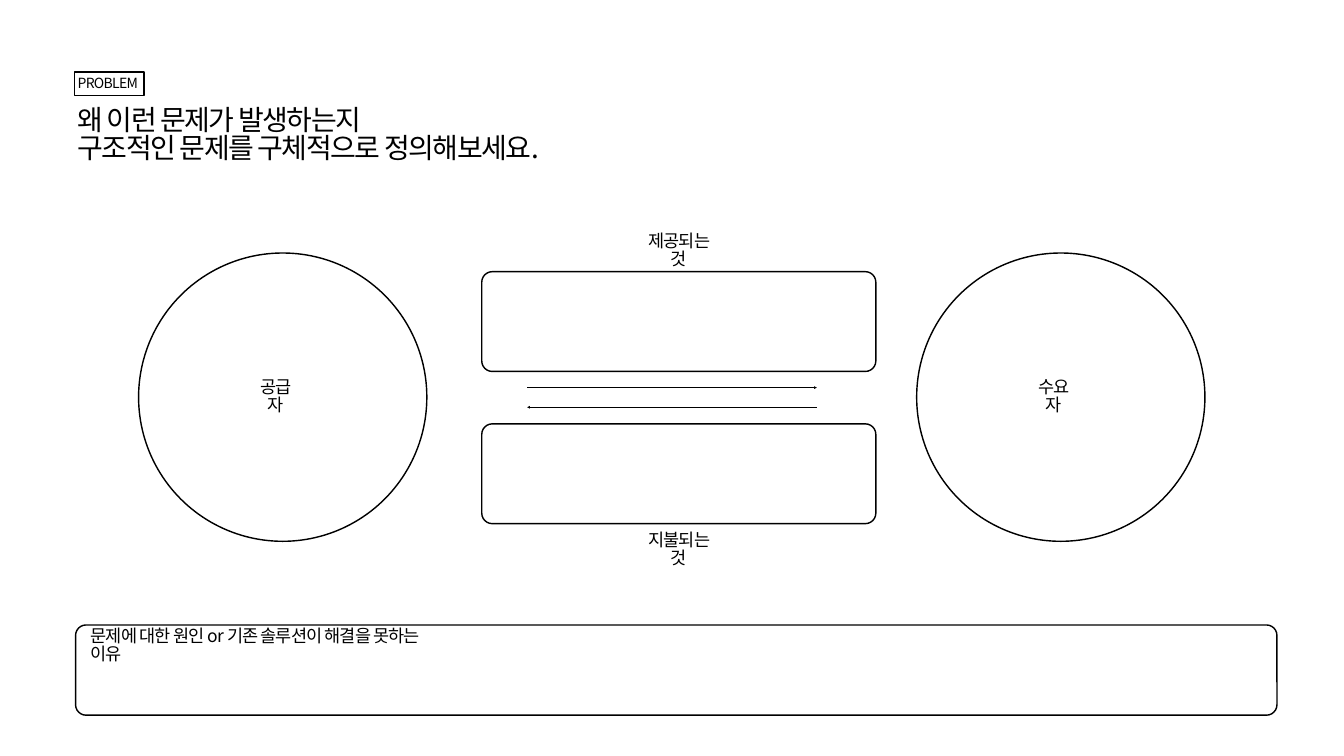
from lxml import etree
from pptx import Presentation
from pptx.dml.color import RGBColor
from pptx.enum.shapes import MSO_CONNECTOR, MSO_SHAPE
from pptx.enum.text import MSO_ANCHOR, MSO_AUTO_SIZE, PP_ALIGN
from pptx.oxml.ns import qn
from pptx.util import Inches, Pt

BLACK = RGBColor(0, 0, 0)
WHITE = RGBColor(255, 255, 255)
FONT = "Noto Sans CJK KR"
LEFT, CENTER = PP_ALIGN.LEFT, PP_ALIGN.CENTER
TOP, MIDDLE = MSO_ANCHOR.TOP, MSO_ANCHOR.MIDDLE
OVAL, RECT, ROUND = MSO_SHAPE.OVAL, MSO_SHAPE.RECTANGLE, MSO_SHAPE.ROUNDED_RECTANGLE
STRAIGHT = MSO_CONNECTOR.STRAIGHT

# Grid of 266.7 columns by 150 rows; boxes are (column, row, columns, rows)
COLS, ROWS = 266.7, 150
CELL = Inches(0.1)
INSET = Inches(0.06)
LINE_PITCH = 0.83


def emu(*cells):
    return [round(c * CELL) for c in cells]


def set_text(sp, lines, size, spacing, align=LEFT, anchor=MIDDLE):
    tf = sp.text_frame
    frame = dict(word_wrap=True, auto_size=MSO_AUTO_SIZE.NONE, vertical_anchor=anchor,
                 margin_left=INSET, margin_right=INSET, margin_top=INSET, margin_bottom=INSET)
    for name, value in frame.items():
        setattr(tf, name, value)
    for i, line in enumerate(lines):
        p = tf.add_paragraph() if i else tf.paragraphs[0]
        para = dict(alignment=align, line_spacing=LINE_PITCH,
                    space_before=Pt(0), space_after=Pt(0))
        for name, value in para.items():
            setattr(p, name, value)
        r = p.add_run()
        r.text = line
        r.font.name, r.font.size = FONT, Pt(size)
        r.font.color.rgb = BLACK
        rpr = r.font._element
        rpr.set("spc", str(round(spacing * 100)))
        etree.SubElement(rpr, qn("a:ea")).set("typeface", FONT)


def add_outline(slide, kind, box, corner=None):
    sp = slide.shapes.add_shape(kind, *emu(*box))
    sp.shadow.inherit = False
    sp.fill.background()
    sp.line.color.rgb, sp.line.width = BLACK, Pt(2)
    if corner:
        sp.adjustments[0] = corner
    return sp


def add_label(slide, text, box, align=CENTER):
    sp = slide.shapes.add_textbox(*emu(*box))
    set_text(sp, [text], 25, -1.2, align)


def add_arrow(slide, start, end, row):
    cxn = slide.shapes.add_connector(STRAIGHT, *emu(start, row, end, row))
    cxn.line.color.rgb, cxn.line.width = BLACK, Pt(2)
    ln = cxn.line._get_or_add_ln()
    etree.SubElement(ln, qn("a:tailEnd"), type="triangle", w="sm", len="sm")
    etree.SubElement(cxn._element.spPr, qn("a:effectLst"))


def add_header(slide, box):
    x, y, w, h = box
    tag = add_outline(slide, RECT, (x, y, 13.8, 4.7))
    set_text(tag, ["PROBLEM"], 20, -1)
    title = slide.shapes.title
    title.left, title.top, title.width, title.height = emu(x, y + 6.5, w, h - 6.5)
    set_text(title, ["왜 이런 문제가 발생하는지", "구조적인 문제를 구체적으로 정의해보세요."],
             40, -2, anchor=TOP)


def add_party(slide, name, box):
    x, y, w, h = box
    add_outline(slide, OVAL, box)
    # The name sits slightly left of the circle's centre
    add_label(slide, name, (x + w / 2 - 6.3, y + h / 2 - 2.6, 9.7, 5.3))


def add_exchange(slide, box):
    x, y, w, h = box
    card_h, label_h, label_x = 19.8, 5.3, x + 31.1
    add_label(slide, "제공되는 것", (label_x, y - 6.7, 16, label_h))
    for top in (y, y + h - card_h):
        add_outline(slide, ROUND, (x, top, w, card_h), 0.105)
    add_label(slide, "지불되는 것", (label_x, y + h + 2.6, 16, label_h))
    # Opposite flows between the two cards
    start, end, middle = x + 9, x + 66.5, y + h / 2
    add_arrow(slide, start, end, middle - 2)
    add_arrow(slide, end, start, middle + 1.9)


def add_cause(slide, box):
    x, y, w, h = box
    add_label(slide, "문제에 대한 원인 or 기존 솔루션이 해결을 못하는 이유",
              (x + 2.4, y + 1.6, 69.5, 5.3), LEFT)
    add_outline(slide, ROUND, box, 0.116)


def main():
    prs = Presentation()
    prs.slide_width, prs.slide_height = emu(COLS, ROWS)
    slide = prs.slides.add_slide(prs.slide_layouts[5])
    slide.background.fill.solid()
    slide.background.fill.fore_color.rgb = WHITE

    add_header(slide, (14.8, 14.3, 237, 20.9))
    for name, x in (("공급자", 27.5), ("수요자", 181.9)):
        add_party(slide, name, (x, 50.2, 57.2, 57.2))
    add_exchange(slide, (95.6, 53.9, 78.2, 50))
    add_cause(slide, (15, 124, 238.4, 17.9))
    prs.save("out.pptx")


if __name__ == "__main__":
    main()
